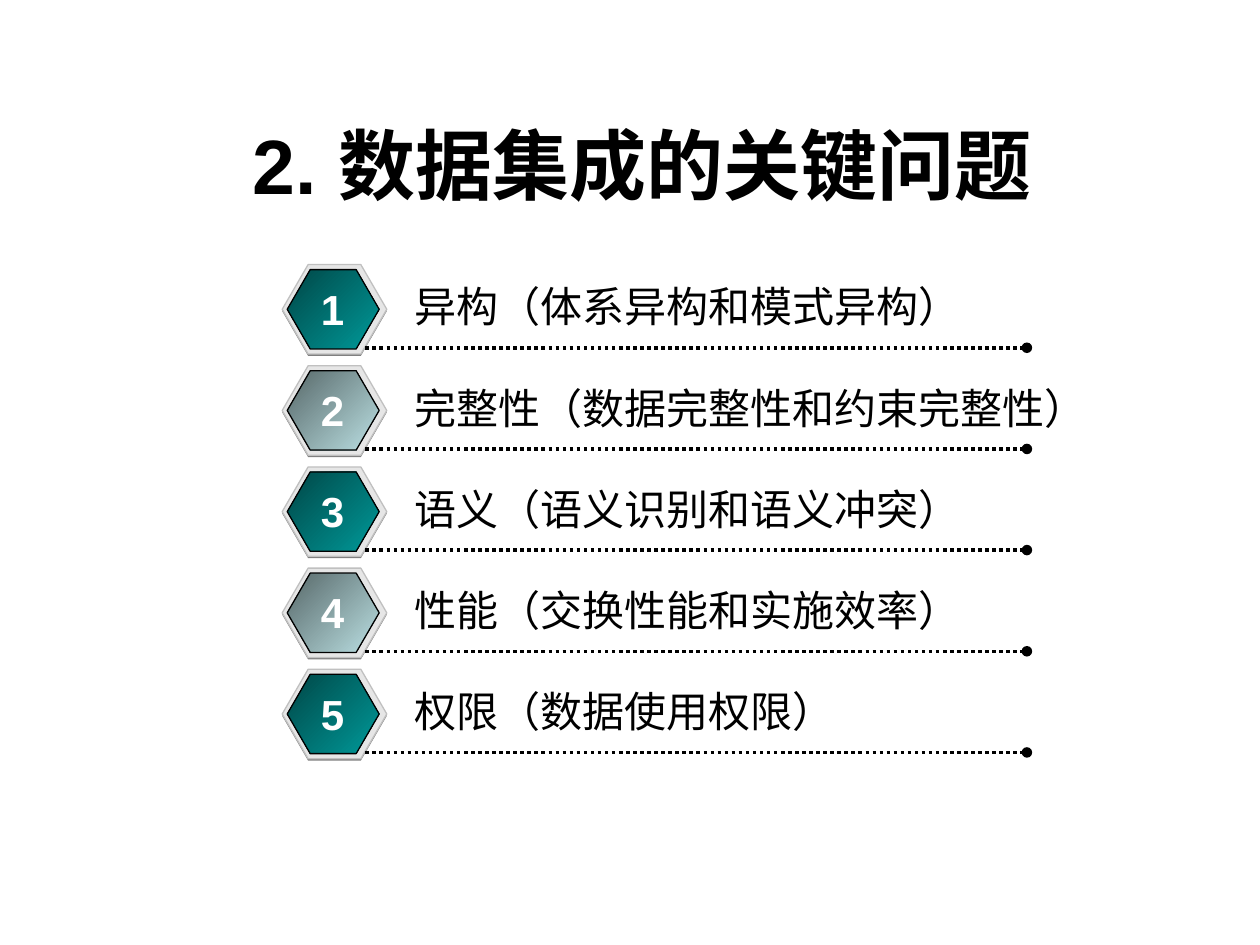
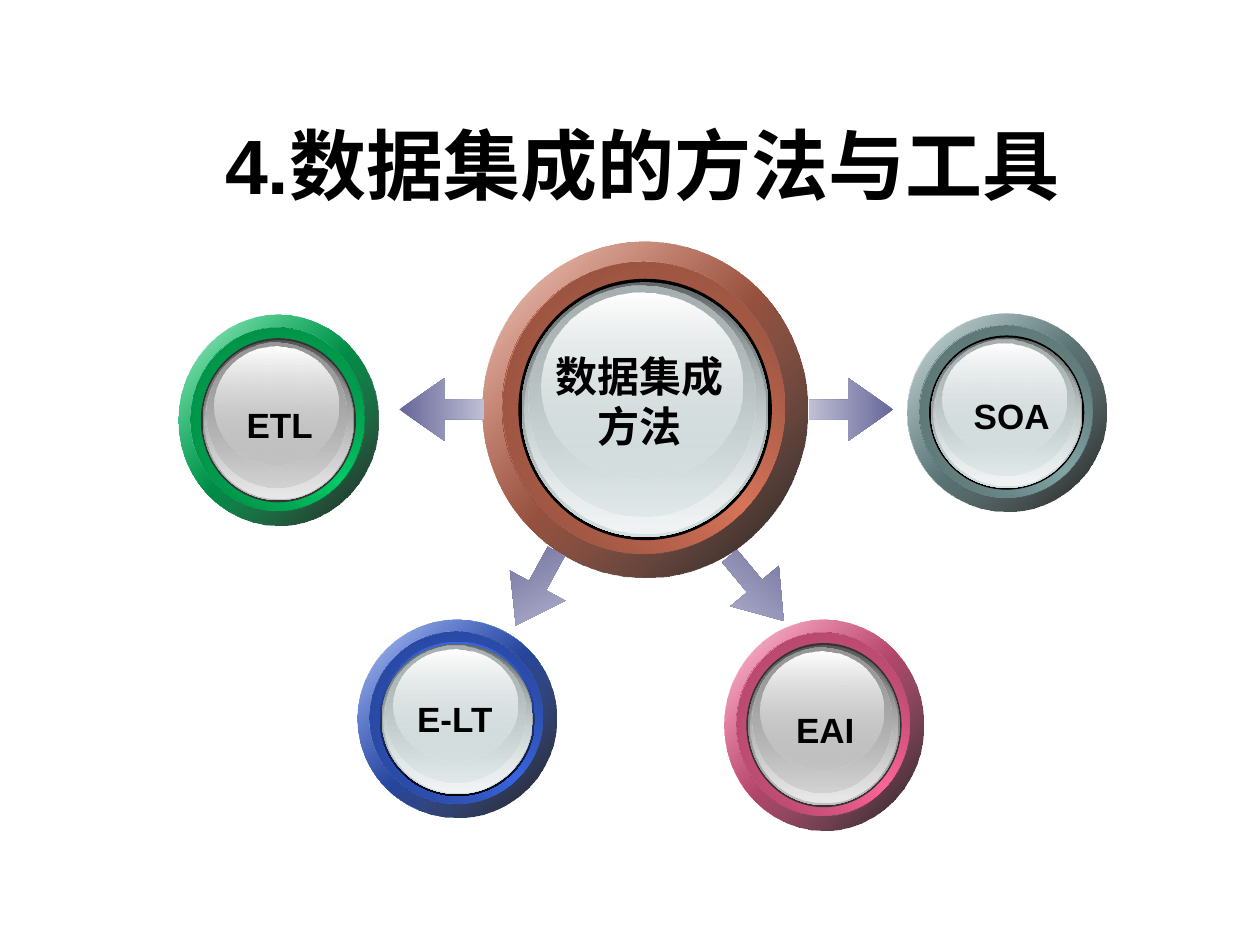
from lxml.etree import SubElement
from pptx import Presentation
from pptx.dml.color import RGBColor
from pptx.enum.dml import MSO_LINE
from pptx.enum.shapes import MSO_CONNECTOR, MSO_SHAPE
from pptx.enum.text import MSO_ANCHOR, MSO_AUTO_SIZE, PP_ALIGN
from pptx.oxml.ns import qn
from pptx.util import Inches, Pt

WIDE, HIGH = Inches(10), Inches(7.5)
COLS, ROWS = 100, 75
FONT = "Arial"

BLACK = RGBColor(0x00, 0x00, 0x00)
WHITE = RGBColor(0xFF, 0xFF, 0xFF)
GREY = RGBColor(0x80, 0x80, 0x80)
PALE = RGBColor(0xE6, 0xE6, 0xE6)
EDGE = RGBColor(0xC0, 0xC0, 0xC0)
COAL = RGBColor(0x33, 0x33, 0x33)
TEAL = RGBColor(0x00, 0x99, 0x99)
NIGHT = RGBColor(0x00, 0x47, 0x47)
MIST = RGBColor(0xBB, 0xE0, 0xE3)
SLATE = RGBColor(0x57, 0x68, 0x69)
RUST = RGBColor(0xD8, 0x75, 0x5A)
SAGE = RGBColor(0x83, 0xA6, 0xA7)
PINK = RGBColor(0xFF, 0x66, 0x99)
GREEN = RGBColor(0x00, 0xCC, 0x66)
BLUE = RGBColor(0x39, 0x65, 0xE1)
NAVY = RGBColor(0x03, 0x06, 0x0D)
ICE = RGBColor(0xD6, 0xE1, 0xE2)
PLUM = RGBColor(0x66, 0x66, 0x99)
LILAC = RGBColor(0xBE, 0xBE, 0xD4)

TOPICS = [
    "异构（体系异构和模式异构）",
    "完整性（数据完整性和约束完整性）",
    "语义（语义识别和语义冲突）",
    "性能（交换性能和实施效率）",
    "权限（数据使用权限）",
]
PITCH = 8.03


def col(count):
    return round(WIDE * count / COLS)


def row(count):
    return round(HIGH * count / ROWS)


def place(left, top, width, height):
    return col(left), row(top), col(width), row(height)


def shade(color, share):
    return RGBColor(*(round(part * share) for part in color))


def tint(color, share):
    return RGBColor(*(round(part + (255 - part) * share) for part in color))


def blend(shape, angle, *stops):
    shape.fill.gradient()
    grad = shape.element.spPr.find(qn("a:gradFill"))
    grad.clear()
    grad.set("rotWithShape", "0")
    group = SubElement(grad, qn("a:gsLst"))
    for spot, color, alpha in stops:
        stop = SubElement(group, qn("a:gs"), pos=str(spot * 1000))
        tone = SubElement(stop, qn("a:srgbClr"), val=str(color))
        if alpha < 100:
            SubElement(tone, qn("a:alpha"), val=str(alpha * 1000))
    SubElement(grad, qn("a:lin"), ang=str(angle * 60000), scaled="0")


def fade(start, end, first=100, last=100):
    return (0, start, first), (100, end, last)


def glow(side, middle):
    return (0, side, 100), (50, middle, 100), (100, side, 100)


def draw(slide, kind, box, fill, angle=45, line=None):
    shape = slide.shapes.add_shape(kind, *place(*box))
    shape.shadow.inherit = False
    if isinstance(fill, RGBColor):
        shape.fill.solid()
        shape.fill.fore_color.rgb = fill
    else:
        blend(shape, angle, *fill)
    if line is None:
        shape.line.fill.background()
    else:
        shape.line.color.rgb = line
        shape.line.width = Pt(0.75)
    return shape


def write(frame, lines, size, color=BLACK, bold=False, align=PP_ALIGN.CENTER):
    for index, words in enumerate(lines):
        para = frame.add_paragraph() if index else frame.paragraphs[0]
        para.alignment = align
        run = para.add_run()
        run.text = words
        run.font.name = FONT
        run.font.size = Pt(size)
        run.font.bold = bold
        run.font.color.rgb = color


def label(slide, box, lines, size, wrap=True, **style):
    frame = slide.shapes.add_textbox(*place(*box)).text_frame
    frame.word_wrap = wrap
    write(frame, lines, size, **style)


def start(deck, words):
    slide = deck.slides.add_slide(deck.slide_layouts[5])
    title = slide.shapes.title
    title.left, title.top, title.width, title.height = place(10.6, 9.9, 80.8, 6.2)
    frame = title.text_frame
    frame.auto_size = MSO_AUTO_SIZE.NONE
    frame.vertical_anchor = MSO_ANCHOR.MIDDLE
    write(frame, [words], 44, bold=True)
    return slide


def badge(slide, top, fill):
    for left, drop, width, height, paint, line in (
        (22.4, 0.15, 8.3, 7.1, GREY, None),
        (22.4, 0, 8.3, 7.1, PALE, EDGE),
        (22.8, 0.4, 7.3, 6.3, fill, BLACK),
    ):
        box = left, top + drop, width, height
        shape = draw(slide, MSO_SHAPE.HEXAGON, box, paint, line=line)
        shape.adjustments[0] = 0.29


def rule(slide, level):
    line = slide.shapes.add_connector(
        MSO_CONNECTOR.STRAIGHT, col(29), row(level), col(81.5), row(level))
    line.line.color.rgb = BLACK
    line.line.width = Pt(2)
    line.line.dash_style = MSO_LINE.ROUND_DOT
    SubElement(line.element.spPr.find(qn("a:ln")), qn("a:tailEnd"), type="oval")
    SubElement(line.element.spPr, qn("a:effectLst"))


def topic(slide, index, words):
    top = 21 + PITCH * index
    badge(slide, top, fade(SLATE, MIST) if index % 2 else fade(NIGHT, TEAL))
    rule(slide, top + 6.6)
    label(slide, (31.9, top + 0.8, 59.1, 5), [words], 24, align=PP_ALIGN.LEFT)
    label(slide, (23.4, top + 1, 6, 5), [str(index + 1)], 24,
          wrap=False, color=WHITE, bold=True)


def ball(slide, box, rim, glass, seat):
    left, top, width, height = box
    dark = shade(rim, 0.54)
    layers = (
        (0, 0, 1, 1, glow(WHITE, rim), 45),
        (0, 0, 1, 1, fade(rim, BLACK, 32, 90), 45),
        (0.06, 0.06, 0.87, 0.87, glow(dark, rim), 315),
        (0.06, 0.06, 0.87, 0.87, fade(shade(rim, 0.63), rim, 100, 0), 45),
        (0.11, 0.11, 0.78, 0.78, seat, 90),
        (0.12, 0.12, 0.76, 0.76, fade(shade(glass, 0.46), glass), 90),
        (0.13, 0.13, 0.74, 0.74, fade(glass, tint(glass, 0.65), 0), 90),
        (0.14, 0.13, 0.7, 0.69, fade(shade(glass, 0.79), glass, 100, 48), 90),
        (0.18, 0.15, 0.62, 0.56, fade(WHITE, glass, 100, 38), 90),
    )
    for x, y, wide, high, fill, angle in layers:
        spot = left + x * width, top + y * height, wide * width, high * height
        draw(slide, MSO_SHAPE.OVAL, spot, fill, angle)


def arrow(slide, left, top, turn):
    shape = draw(slide, MSO_SHAPE.LEFT_ARROW, (left, top, 6.7, 5),
                 fade(PLUM, LILAC), round(-turn) % 360)
    shape.adjustments[0] = 0.31
    shape.adjustments[1] = 0.72
    shape.rotation = turn


def issues(deck):
    slide = start(deck, "2. 数据集成的关键问题")
    for index, words in enumerate(TOPICS):
        topic(slide, index, words)


def methods(deck):
    slide = start(deck, "4.数据集成的方法与工具")
    ball(slide, (38.3, 19.2, 25.8, 26.6), RUST, ICE, BLACK)
    for left, top, turn in (
        (64.2, 30, 180), (39.2, 44.2, 298.6), (31.7, 30, 0), (56.7, 44.2, 230.2),
    ):
        arrow(slide, left, top, turn)
    label(slide, (41.3, 27.3, 18.9, 9), ["数据集成", "方法"], 24, bold=True)
    for words, left, top, high, rim, glass, seat, text in (
        ("SOA", 72, 24.9, 15.7, SAGE, ICE, BLACK, (75.3, 30.8)),
        ("EAI", 57.5, 49.2, 16.7, PINK, EDGE, COAL, (60.5, 55.7)),
        ("ETL", 14.2, 25, 16.7, GREEN, EDGE, COAL, (17.2, 31.5)),
        ("E-LT", 28.4, 49.2, 15.7, BLUE, ICE, fade(BLUE, NAVY), (31.1, 54.9)),
    ):
        ball(slide, (left, top, 15.8, high), rim, glass, seat)
        label(slide, (*text, 10, 4.4), [words], 20, wrap=False, bold=True)


def main():
    deck = Presentation()
    deck.slide_width, deck.slide_height = WIDE, HIGH
    issues(deck)
    methods(deck)
    deck.save("out.pptx")


if __name__ == "__main__":
    main()
